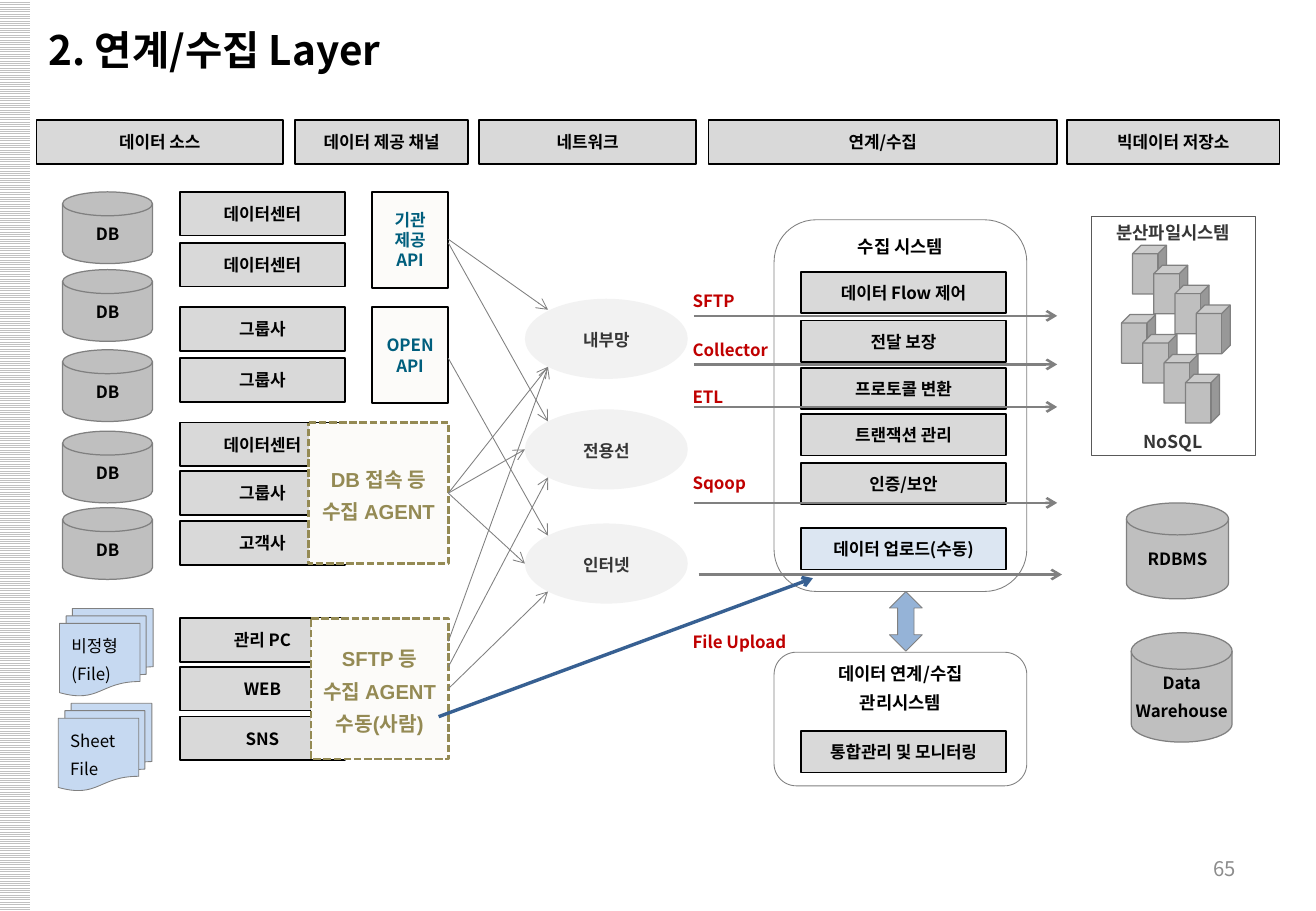
from lxml import etree
from pptx import Presentation
from pptx.dml.color import RGBColor
from pptx.enum.dml import MSO_LINE as Dash, MSO_PATTERN as Pattern
from pptx.enum.shapes import MSO_CONNECTOR as Link, MSO_SHAPE as Shape
from pptx.enum.text import MSO_ANCHOR as Anchor, PP_ALIGN as Align
from pptx.oxml.ns import qn
from pptx.util import Inches, Pt

# Grid: ten columns and ten rows to the inch
COLS, ROWS, CELL = 108.3, 75, 0.1
FONT = "Noto Sans CJK KR"

BLACK = RGBColor(0x00, 0x00, 0x00)
WHITE = RGBColor(0xFF, 0xFF, 0xFF)
DARK = RGBColor(0x36, 0x36, 0x36)
EDGE = RGBColor(0x59, 0x59, 0x59)
GRAY = RGBColor(0x80, 0x80, 0x80)
FAINT = RGBColor(0x8C, 0x8C, 0x8C)
STEEL = RGBColor(0xBF, 0xBF, 0xBF)
STRIPE = RGBColor(0xC0, 0xC0, 0xC0)
SILVER = RGBColor(0xD9, 0xD9, 0xD9)
PALE = RGBColor(0xF2, 0xF2, 0xF2)
CREAM = RGBColor(0xFC, 0xFB, 0xF9)
TEAL = RGBColor(0x00, 0x5E, 0x7D)
OLIVE = RGBColor(0x94, 0x8A, 0x54)
RED = RGBColor(0xC0, 0x00, 0x00)
NAVY = RGBColor(0x37, 0x60, 0x92)
BLUE = RGBColor(0x95, 0xB3, 0xD7)
SKY = RGBColor(0xC6, 0xD9, 0xF1)
ICE = RGBColor(0xDC, 0xE6, 0xF2)


def cells(*counts):
    return [Inches(count * CELL) for count in counts]


def write(frame, lines, size=10, color=BLACK, bold=True, font=FONT,
          align=Align.CENTER, anchor=Anchor.MIDDLE, wrap=True,
          inset=(1, 0.5, 1, 0.5), lead=1.0, gaps=()):
    """Fill a frame; gaps holds the space before each line after the first."""
    frame.word_wrap, frame.vertical_anchor = wrap, anchor
    (frame.margin_left, frame.margin_top,
     frame.margin_right, frame.margin_bottom) = cells(*inset)
    for i, line in enumerate(lines):
        para = frame.paragraphs[0] if i == 0 else frame.add_paragraph()
        para.alignment, para.line_spacing = align, lead
        para.space_before = Pt(gaps[i - 1] if i and gaps else 0)
        run = para.add_run()
        run.text = line
        run.font.size, run.font.bold, run.font.name = Pt(size), bold, font
        run.font.color.rgb = color
        etree.SubElement(run.font._element, qn("a:ea"), typeface=FONT)


def block(slide, kind, box, fill=None, edge=None, width=0.75, lines=(), **text):
    shape = slide.shapes.add_shape(kind, *cells(*box))
    shape.shadow.inherit = False
    if fill is None:
        shape.fill.background()
    else:
        shape.fill.solid()
        shape.fill.fore_color.rgb = fill
    if edge is None:
        shape.line.fill.background()
    else:
        shape.line.color.rgb, shape.line.width = edge, Pt(width)
    if lines:
        write(shape.text_frame, lines, **text)
    return shape


def bar(slide, box, *lines, fill=SILVER, color=BLACK):
    block(slide, Shape.RECTANGLE, box, fill, BLACK, 1, lines,
          color=color, wrap=False)


def drum(slide, box, *lines):
    block(slide, Shape.FLOWCHART_MAGNETIC_DISK, box, STEEL, GRAY, 0.75, lines,
          inset=(0, 0.5, 0, 0.5), gaps=(4.5,))


def files(slide, box, *lines):
    block(slide, Shape.FLOWCHART_MULTIDOCUMENT, box, SKY, GRAY, 0.5, lines,
          bold=False, align=Align.LEFT, lead=1.2, gaps=(2,))


def agent(slide, box, *lines):
    shape = block(slide, Shape.FLOWCHART_PROCESS, box, CREAM, OLIVE, 1.5, lines,
                  size=12, color=OLIVE, font="Arial", lead=1.2, gaps=(2, 2))
    shape.line.dash_style = Dash.SQUARE_DOT


def panel(slide, box, *lines):
    block(slide, Shape.ROUNDED_RECTANGLE, box, WHITE, GRAY, 0.5, lines,
          size=10.5, anchor=Anchor.TOP, inset=(1, 0, 1, 0.5), lead=1.2, gaps=(2,))


def arrow(slide, start, end, color=GRAY, width=0.5):
    link = slide.shapes.add_connector(Link.STRAIGHT, *cells(*start, *end))
    link.line.color.rgb, link.line.width = color, Pt(width)
    props = link.element.spPr
    etree.SubElement(props.find(qn("a:ln")), qn("a:tailEnd"), type="arrow")
    etree.SubElement(props, qn("a:effectLst"))


def label(slide, box, lines, **text):
    write(slide.shapes.add_textbox(*cells(*box)).text_frame, lines, **text)


def frame(slide):
    # Side stripe, title, page number and column heads
    stripe = block(slide, Shape.RECTANGLE, (0, 0, 2.5, ROWS))
    stripe.fill.patterned()
    stripe.fill.pattern = Pattern.LIGHT_HORIZONTAL
    stripe.fill.fore_color.rgb, stripe.fill.back_color.rgb = STRIPE, WHITE
    title = slide.shapes.title
    title.left, title.top, title.width, title.height = cells(3, 1.6, 97.5, 6)
    write(title.text_frame, ["2. 연계/수집 Layer"], size=24,
          align=Align.LEFT, anchor=Anchor.TOP)
    label(slide, (79.4, 69.5, 23.3, 4), ["65"], size=12, color=FAINT,
          bold=False, align=Align.RIGHT)
    heads = [(3, 20.3, "데이터 소스"), (24.3, 14.2, "데이터 제공 채널"),
             (39.4, 17.9, "네트워크"), (58.3, 28.7, "연계/수집"),
             (87.8, 17.5, "빅데이터 저장소")]
    for left, width, name in heads:
        bar(slide, (left, 9.9, width, 3.6), name)


def sources(slide):
    # Databases, files, their owners and the channels
    for top in (15.8, 22.2, 28.8, 35.5, 41.8):
        drum(slide, (5.15, top, 7.4, 5.9), "DB")
    files(slide, (4.9, 50.1, 7.7, 7.2), "비정형", "(File)")
    files(slide, (4.8, 57.9, 7.7, 7.2), "Sheet", "File")
    owners = [(15.8, "데이터센터"), (20, "데이터센터"), (25.3, "그룹사"),
              (29.5, "그룹사"), (34.8, "데이터센터"), (38.8, "그룹사"),
              (42.9, "고객사"), (50.9, "관리 PC"), (54.9, "WEB"), (59, "SNS")]
    for top, name in owners:
        bar(slide, (14.8, top, 13.6, 3.6), name)
    bar(slide, (30.6, 15.8, 6.3, 7.9), "기관", "제공", "API", fill=CREAM, color=TEAL)
    bar(slide, (30.6, 25.3, 6.3, 7.9), "OPEN", "API", fill=CREAM, color=TEAL)
    agent(slide, (25.4, 34.8, 11.5, 11.6), "DB 접속 등", "수집 AGENT")
    agent(slide, (25.6, 50.9, 11.3, 11.6), "SFTP 등", "수집 AGENT", "수동(사람)")


def network(slide):
    # Networks and the links that reach them
    for top, name in ((24.6, "내부망"), (33.7, "전용선"), (43.1, "인터넷")):
        block(slide, Shape.OVAL, (43.2, top, 13.4, 6.6), PALE, lines=[name],
              color=DARK, inset=(0, 0.5, 0, 0.5), lead=1.1)
    links = [(19.7, 45.1, 25.5), (20, 45.1, 34.7), (29.5, 45.1, 44.1),
             (40.6, 45.1, 30.2), (40.6, 43.2, 37), (40.6, 43.2, 46.4),
             (52.8, 45.1, 30.2), (54.9, 45.1, 39.3), (56.7, 45.1, 48.7)]
    for top, right, end in links:
        arrow(slide, (36.9, top), (right, end))


def collect(slide):
    # Collection system, its manager and the flows through it
    panel(slide, (63.7, 18.1, 20.8, 30.6), "수집 시스템")
    panel(slide, (63.7, 53.7, 20.8, 11), "데이터 연계/수집", "관리시스템")
    steps = [(22.4, "데이터 Flow 제어"), (26.4, "전달 보장"),
             (30.3, "프로토콜 변환"), (34.1, "트랜잭션 관리"),
             (38.1, "인증/보안"), (60.2, "통합관리 및 모니터링")]
    for top, name in steps:
        bar(slide, (65.9, top, 16.9, 3.4), name)
    bar(slide, (65.9, 43.5, 16.9, 3.4), "데이터 업로드(수동)", fill=ICE)
    block(slide, Shape.UP_DOWN_ARROW, (73.2, 48.7, 2.7, 4.9), BLUE, GRAY, 0.5)
    flows = [(57.1, 26), (57.1, 30), (57.1, 33.5), (57.1, 41.4), (57.5, 47.3)]
    for left, top in flows:
        arrow(slide, (left, top), (left + 29.9, top), width=1.5)
    arrow(slide, (36.1, 59), (66.9, 47.6), NAVY, 2)
    label(slide, (56.5, 23.3, 10.5, 31.3),
          ["SFTP", "Collector", "ETL", "Sqoop", "File Upload"],
          color=RED, align=Align.LEFT, anchor=Anchor.TOP, wrap=False,
          inset=(0.5,) * 4, lead=1.1, gaps=(15.6, 14.7, 37.9, 80.7))


def storage(slide):
    # Distributed files and databases
    block(slide, Shape.RECTANGLE, (89.8, 17.8, 13.5, 19.7), None, EDGE, 0.75,
          ["분산파일시스템", "NoSQL"], size=10.5, color=DARK, wrap=False,
          inset=(0.5,) * 4, lead=1.1, gaps=(110.5,))
    for left, top in ((93.2, 20.2), (92.3, 25.9)):
        for i in range(4):
            box = (left + 1.75 * i, top + 1.64 * i, 2.8, 4)
            block(slide, Shape.CUBE, box, STEEL, GRAY)
    drum(slide, (92.7, 41.4, 8.4, 7.9), "RDBMS")
    drum(slide, (93.1, 52.1, 8.3, 9), "Data", "Warehouse")


def main():
    deck = Presentation()
    deck.slide_width, deck.slide_height = cells(COLS, ROWS)
    slide = deck.slides.add_slide(deck.slide_layouts[5])
    for part in (frame, sources, network, collect, storage):
        part(slide)
    deck.save("out.pptx")


if __name__ == "__main__":
    main()
